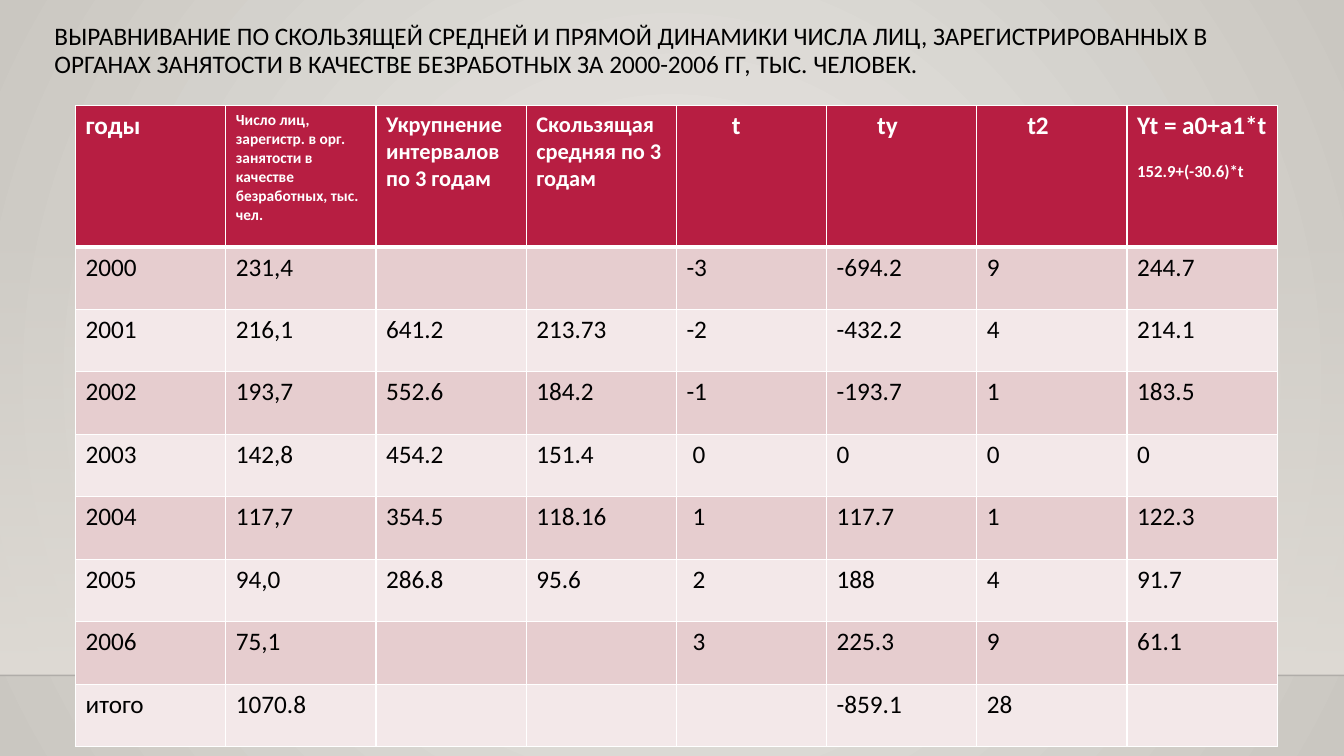
from lxml import etree
from pptx import Presentation
from pptx.dml.color import RGBColor
from pptx.enum import shapes, text
from pptx.oxml import ns
from pptx.util import Inches, Pt

BLACK = RGBColor(0x00, 0x00, 0x00)
WHITE = RGBColor(0xFF, 0xFF, 0xFF)
CRIMSON = RGBColor(0xB7, 0x1E, 0x42)
PINK = RGBColor(0xE6, 0xCD, 0xCF)
PALE_PINK = RGBColor(0xF3, 0xE8, 0xE9)
STONE = RGBColor(0xDF, 0xDB, 0xD5)
LIGHT_STONE = RGBColor(0xEC, 0xEA, 0xE7)
DARK_STONE = RGBColor(0xCA, 0xC7, 0xC1)
HORIZON = RGBColor(0x00, 0x00, 0x01)

TITLE = (
    "ВЫРАВНИВАНИЕ ПО СКОЛЬЗЯЩЕЙ СРЕДНЕЙ И ПРЯМОЙ ДИНАМИКИ ЧИСЛА ЛИЦ, "
    "ЗАРЕГИСТРИРОВАННЫХ В ОРГАНАХ ЗАНЯТОСТИ В КАЧЕСТВЕ БЕЗРАБОТНЫХ "
    "ЗА 2000-2006 ГГ, ТЫС. ЧЕЛОВЕК."
)
HEADERS = [
    ("годы", 18, 0),
    ("Число лиц, зарегистр. в орг. занятости в качестве безработных, тыс. чел.", 11, 0),
    ("Укрупнение интервалов по 3 годам", 16, 0),
    ("Скользящая средняя по 3 годам", 16, 0),
    ("t", 18, 0.45),
    ("ty", 18, 0.4),
    ("t2", 18, 0.4),
    ("Yt = a0+a1*t", 18, 0),
]
ROWS = [
    ["2000", "231,4", "", "", "-3", "-694.2", "9", "244.7"],
    ["2001", "216,1", "641.2", "213.73", "-2", "-432.2", "4", "214.1"],
    ["2002", "193,7", "552.6", "184.2", "-1", "-193.7", "1", "183.5"],
    ["2003", "142,8", "454.2", "151.4", "0", "0", "0", "0"],
    ["2004", "117,7", "354.5", "118.16", "1", "117.7", "1", "122.3"],
    ["2005", "94,0", "286.8", "95.6", "2", "188", "4", "91.7"],
    ["2006", "75,1", "", "", "3", "225.3", "9", "61.1"],
    ["итого", "1070.8", "", "", "", "-859.1", "28", ""],
]
T_COLUMN = 4


def add_run(paragraph, content, size, color, bold=False):
    run = paragraph.add_run()
    run.text = content
    run.font.name = "Calibri"
    run.font.size = Pt(size)
    run.font.color.rgb = color
    run.font.bold = bold


def style_cell(cell, color, bottom_width):
    properties = cell._tc.get_or_add_tcPr()
    for side, width in (("L", 1), ("R", 1), ("T", 1), ("B", bottom_width)):
        border = etree.SubElement(properties, ns.qn(f"a:ln{side}"), w=str(Pt(width)))
        fill = etree.SubElement(border, ns.qn("a:solidFill"))
        etree.SubElement(fill, ns.qn("a:srgbClr"), val=str(WHITE))
    cell.fill.solid()
    cell.fill.fore_color.rgb = color


presentation = Presentation()
presentation.slide_width = Inches(13.33)
presentation.slide_height = Inches(7.5)
slide = presentation.slides.add_slide(presentation.slide_layouts[5])

background = slide.background.fill
background.gradient()
for stop, color in zip(background.gradient_stops, (LIGHT_STONE, DARK_STONE)):
    stop.color.rgb = color
gradient = slide.element.find(".//" + ns.qn("a:gradFill"))
gradient.remove(gradient.find(ns.qn("a:lin")))
circle = etree.SubElement(gradient, ns.qn("a:path"), {"path": "circle"})
etree.SubElement(circle, ns.qn("a:fillToRect"), dict.fromkeys("ltrb", "50000"))

floor = slide.shapes.add_shape(
    shapes.MSO_SHAPE.RECTANGLE, 0, Inches(2.21), Inches(13.33), Inches(4.49)
)
floor.shadow.inherit = False
floor.line.fill.background()
floor.fill.gradient()
floor.fill.gradient_angle = 270
for stop in floor.fill.gradient_stops:
    stop.color.rgb = STONE
clear_color = floor._element.find(".//" + ns.qn("a:srgbClr"))
etree.SubElement(clear_color, ns.qn("a:alpha"), val="0")

horizon = slide.shapes.add_connector(
    shapes.MSO_CONNECTOR.STRAIGHT, 0, Inches(6.7), Inches(13.33), Inches(6.7)
)
horizon.line.width = Pt(1)
horizon.line.color.rgb = HORIZON
horizon_color = horizon._element.find(".//" + ns.qn("a:srgbClr"))
etree.SubElement(horizon_color, ns.qn("a:alpha"), val="20000")
etree.SubElement(horizon._element.spPr, ns.qn("a:effectLst"))

title = slide.shapes.title
title.left, title.top = Inches(0.44), Inches(0.19)
title.width, title.height = Inches(12.52), Inches(0.86)
title.text_frame.vertical_anchor = text.MSO_ANCHOR.TOP
paragraph = title.text_frame.paragraphs[0]
paragraph.alignment = text.PP_ALIGN.LEFT
paragraph.line_spacing = 0.9
add_run(paragraph, TITLE, 18, BLACK)

table = slide.shapes.add_table(
    len(ROWS) + 1, len(HEADERS), Inches(0.75), Inches(1.05), Inches(11.91), Inches(6.36)
).table
for column in table.columns:
    column.width = Inches(1.49)
for row in table.rows:
    row.height = Inches(0.62)
table.rows[0].height = Inches(1.4)

for column, (label, size, indent) in enumerate(HEADERS):
    cell = table.cell(0, column)
    style_cell(cell, CRIMSON, 3)
    cell.margin_left = Inches(0.1 + indent)
    add_run(cell.text_frame.paragraphs[0], label, size, WHITE, True)

formula = table.cell(0, len(HEADERS) - 1).text_frame.add_paragraph()
formula.space_before = Pt(14)
add_run(formula, "152.9+(-30.6)*t", 12, WHITE, True)

for row, values in enumerate(ROWS, start=1):
    for column, value in enumerate(values):
        cell = table.cell(row, column)
        style_cell(cell, PINK if row % 2 else PALE_PINK, 1)
        if column == T_COLUMN and not value.startswith("-"):
            cell.margin_left = Inches(0.16)
        if value:
            add_run(cell.text_frame.paragraphs[0], value, 18, BLACK)

presentation.save("out.pptx")
